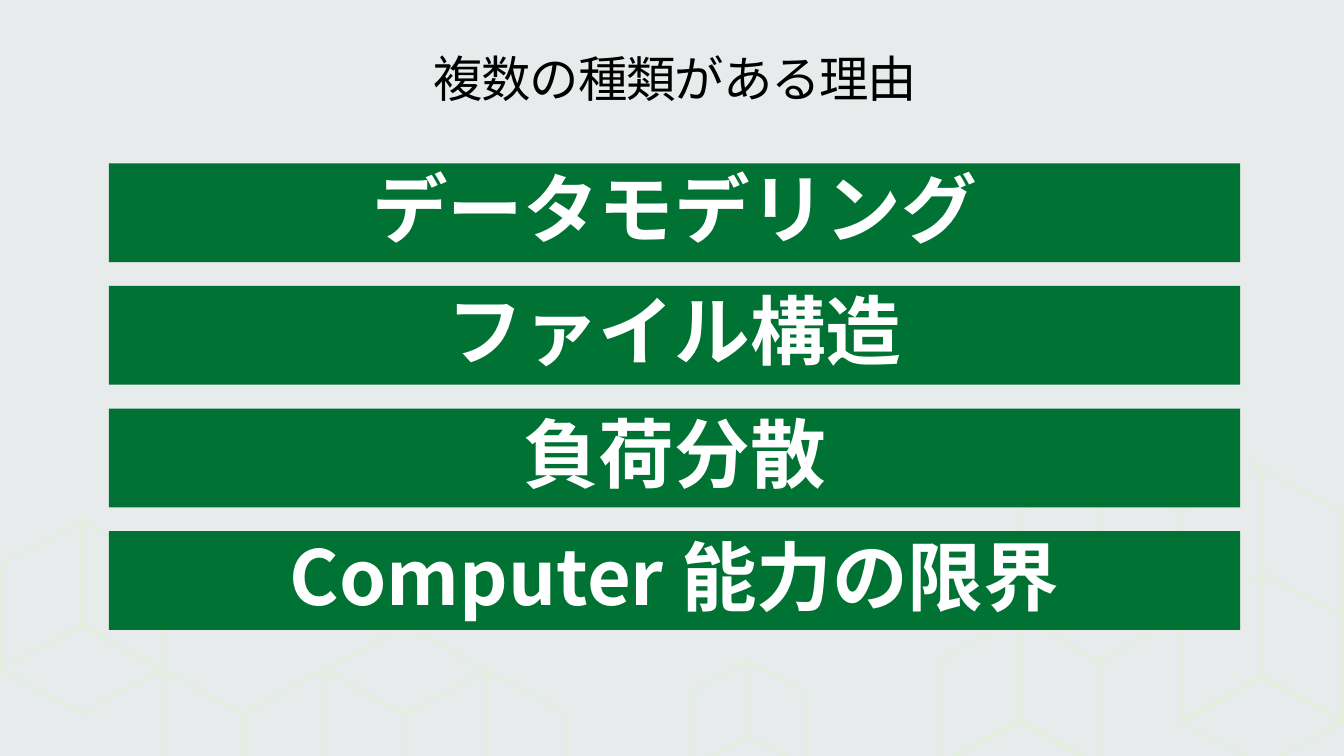
from dataclasses import dataclass

from lxml import etree
from pptx import Presentation
from pptx.dml.color import RGBColor
from pptx.enum.shapes import MSO_SHAPE
from pptx.enum.text import MSO_ANCHOR, PP_ALIGN
from pptx.oxml.ns import qn
from pptx.util import Inches, Pt

RECTANGLE = MSO_SHAPE.RECTANGLE
MIDDLE = MSO_ANCHOR.MIDDLE
CENTER = PP_ALIGN.CENTER


@dataclass(frozen=True)
class Theme:
    background: str = "E7EBEC"
    lattice: str = "E2F0D9"
    bar: str = "007233"
    title_color: str = "000000"
    bar_text: str = "FFFFFF"
    title_font: str = "Karla"
    body_font: str = "Noto Sans CJK JP"
    title_size: float = 35.3
    bar_size: float = 54
    lattice_width: float = 1.38


def color(code):
    return RGBColor.from_string(code)


def write(shape, text, *, font, east_asian, size, ink, inset, bold=False, spacing=None):
    """Fill a shape with one centred line; spacing is in hundredths of a point."""
    frame = shape.text_frame
    frame.word_wrap = True
    frame.vertical_anchor = MIDDLE
    frame.margin_left = frame.margin_right = Inches(inset[0])
    frame.margin_top = frame.margin_bottom = Inches(inset[1])
    para = frame.paragraphs[0]
    para.alignment = CENTER
    para.line_spacing = 0.9
    span = para.add_run()
    span.text = text
    span.font.name = font
    span.font.size = Pt(size)
    span.font.bold = bold
    span.font.color.rgb = color(ink)
    properties = span.font._element
    etree.SubElement(properties, qn("a:ea")).set("typeface", east_asian)
    if spacing is not None:
        properties.set("spc", str(spacing))


def wall(x, y, side, scale=1):
    """Corners of a cube wall falling from its top point; side is -1 left, 1 right."""
    width, drop, height = side * 0.8 * scale, 0.44 * scale, 1.03 * scale
    return [(x, y), (x + width, y + drop), (x + width, y + drop + height), (x, y + height)]


def diamond(x, y):
    return [(x, y), (x + 0.8, y + 0.44), (x, y + 0.88), (x - 0.8, y + 0.44)]


def chevron(x, y, scale=1):
    return [(x + side * 0.8 * scale, y + abs(side) * 0.44 * scale) for side in (1, 0, -1)]


def folded_wall(x, y):
    """Right wall with its floor, starting at the wall's top point."""
    return [(x, y), (x + 0.8, y + 0.44), (x + 0.8, y + 1.47),
            (x, y + 1.91), (x - 0.8, y + 1.47), (x, y + 1.03)]


class SlideBuilder:
    def __init__(self, deck, theme):
        self.theme = theme
        self.page = deck.slides.add_slide(deck.slide_layouts[6])
        fill = self.page.background.fill
        fill.solid()
        fill.fore_color.rgb = color(theme.background)

    def outline(self, *contours, close=True):
        """Draw one unfilled freeform from lists of points in inches."""
        builder = None
        for contour in contours:
            start, *others = [(Inches(x), Inches(y)) for x, y in contour]
            if builder is None:
                builder = self.page.shapes.build_freeform(*start, scale=1.0)
            else:
                builder.move_to(*start)
            builder.add_line_segments(others, close=close)
        shape = builder.convert_to_shape()
        shape.shadow.inherit = False
        shape.fill.background()
        shape.line.color.rgb = color(self.theme.lattice)
        shape.line.width = Pt(self.theme.lattice_width)

    def title(self, text, left, top, width, height):
        box = self.page.shapes.add_textbox(*map(Inches, (left, top, width, height)))
        write(box, text, font=self.theme.title_font, east_asian=self.theme.body_font,
              size=self.theme.title_size, ink=self.theme.title_color,
              inset=(0.16, 0.1), spacing=-80)

    def bar(self, text, left, top, width, height):
        box = self.page.shapes.add_shape(
            RECTANGLE, *map(Inches, (left, top, width, height)))
        box.shadow.inherit = False
        box.fill.solid()
        box.fill.fore_color.rgb = color(self.theme.bar)
        box.line.fill.background()
        write(box, text, font=self.theme.body_font, east_asian=self.theme.body_font,
              size=self.theme.bar_size, ink=self.theme.bar_text,
              inset=(0.2, 0.16), bold=True)


WALLS = [
    (10.11, 6.12, -1), (10.11, 6.12, 1), (10.91, 4.65, -1),
    (12.52, 5.68, -1), (12.52, 5.68, 1), (12.52, 4.65, 1),
    (3.22, 6.64, -1), (1.61, 6.64, 1), (0.81, 5.17, 1), (0.81, 5.17, -1),
    (7.42, 6.56, -1, 0.72), (7.42, 6.56, 1, 0.72), (4.82, 6.65, 1),
]
DIAMONDS = [(12.52, 6.72), (0.81, 6.2)]
CHEVRONS = [(10.11, 7.16), (7.42, 7.3, 0.72)]
FOLDED_WALLS = [(10.91, 4.65), (3.22, 6.65)]
REASONS = ["データモデリング", "ファイル構造", "負荷分散", "Computer 能力の限界"]
FIRST_BAR, LAST_BAR = 1.62, 5.27


def main():
    deck = Presentation()
    deck.slide_width, deck.slide_height = Inches(13.33), Inches(7.5)
    slide = SlideBuilder(deck, Theme())

    for face in WALLS:
        slide.outline(wall(*face))
    for top_point in DIAMONDS:
        slide.outline(diamond(*top_point))
    for peak in CHEVRONS:
        slide.outline(chevron(*peak), close=False)
    for x, y in FOLDED_WALLS:
        slide.outline(folded_wall(x, y), diamond(x + 0.8, y - 0.44))

    slide.title("複数の種類がある理由", 0.3, 0.32, 12.8, 0.98)
    pitch = (LAST_BAR - FIRST_BAR) / (len(REASONS) - 1)
    for row, reason in enumerate(REASONS):
        slide.bar(reason, 1.08, FIRST_BAR + row * pitch, 11.22, 0.98)

    deck.save("out.pptx")


if __name__ == "__main__":
    main()
